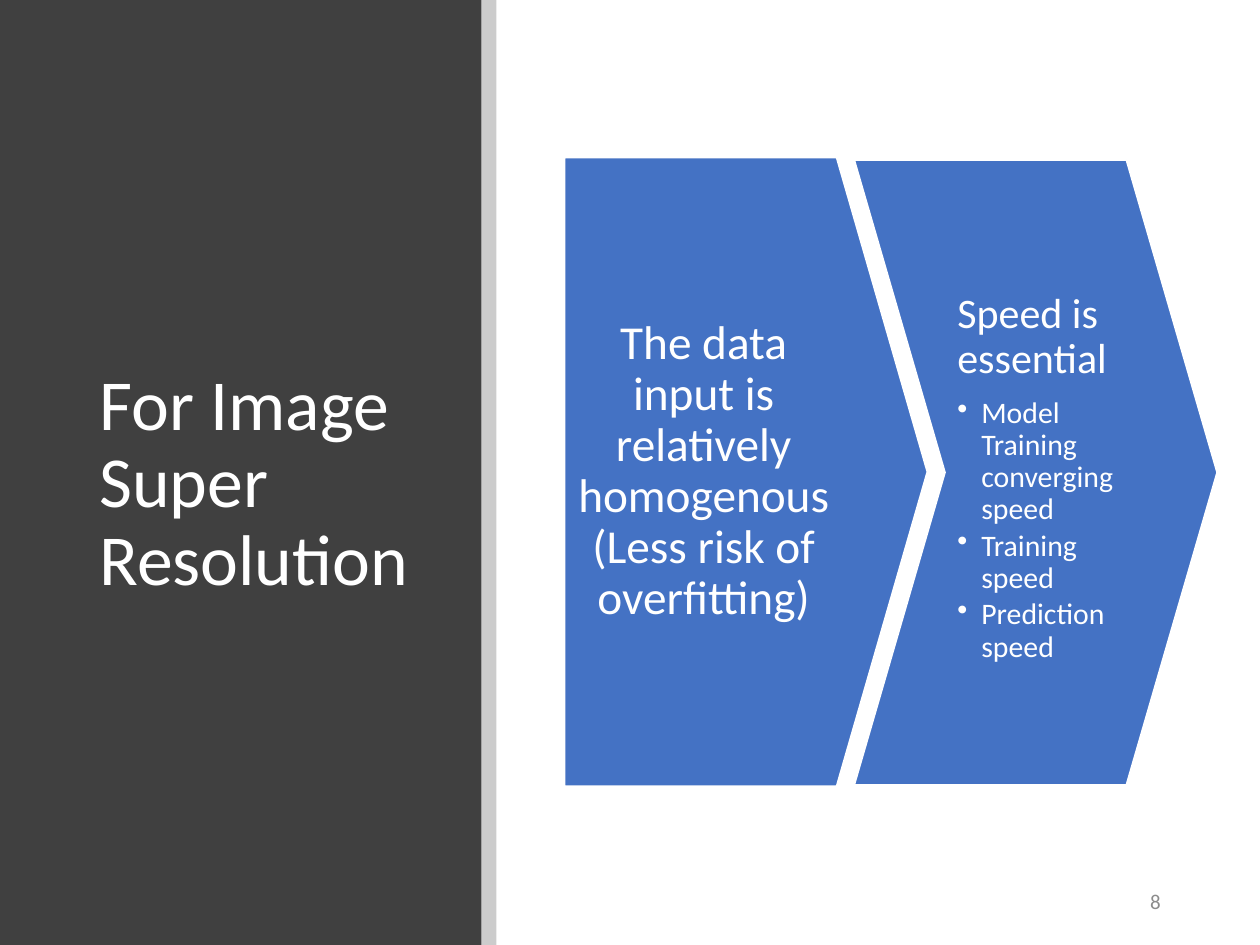
from lxml.etree import SubElement
from pptx import Presentation
from pptx.dml.color import RGBColor
from pptx.enum.shapes import MSO_SHAPE
from pptx.enum.text import MSO_ANCHOR, PP_ALIGN
from pptx.oxml.ns import qn
from pptx.util import Inches, Pt

COLORS = {
    "panel": "404040",
    "stripe": "000000",
    "arrow": "4472C4",
    "white": "FFFFFF",
    "number": "8C8C8C",
}
FONT = "Calibri"


def color(name):
    """Return the named colour."""
    return RGBColor.from_string(COLORS[name])


def add_block(slide, preset, box, fill, outline=None, alpha=None):
    """Draw a filled preset shape, optionally outlined or transparent."""
    block = slide.shapes.add_shape(preset, *map(Inches, box))
    block.shadow.inherit = False
    block.fill.solid()
    block.fill.fore_color.rgb = color(fill)
    if outline:
        block.line.color.rgb = color(outline)
        block.line.width = Pt(1)
    else:
        block.line.fill.background()
    if alpha is not None:
        tint = block.fill._xPr.find(qn("a:solidFill"))[0]
        SubElement(tint, qn("a:alpha")).set("val", str(alpha * 1000))
    return block


def add_arrow(slide, preset, box):
    """Draw one step of the arrow process."""
    arrow = add_block(slide, preset, box, "arrow", outline="white")
    arrow.adjustments[0] = 0.25


def add_frame(slide, box, anchor=MSO_ANCHOR.MIDDLE, insets=(0.1, 0.05, 0.1, 0.05)):
    """Add a wrapping text box and return its text frame."""
    frame = slide.shapes.add_textbox(*map(Inches, box)).text_frame
    frame.word_wrap = True
    frame.vertical_anchor = anchor
    (frame.margin_left, frame.margin_top,
     frame.margin_right, frame.margin_bottom) = map(Inches, insets)
    return frame


def write(frame, text, size, ink="white", align=PP_ALIGN.LEFT,
          spacing=0.9, after=0, bullet=False):
    """Write a formatted paragraph into the frame."""
    paragraph = frame.paragraphs[0]
    if paragraph.runs:
        paragraph = frame.add_paragraph()
    paragraph.alignment = align
    paragraph.line_spacing = spacing
    paragraph.space_after = Pt(after)
    run = paragraph.add_run()
    run.text = text
    run.font.name = FONT
    run.font.size = Pt(size)
    run.font.color.rgb = color(ink)
    if bullet:
        paragraph.level = 1
        properties = paragraph._p.get_or_add_pPr()
        properties.set("marL", str(Inches(0.19)))
        properties.set("indent", str(Inches(-0.19)))
        SubElement(properties, qn("a:buChar")).set("char", "•")


def main():
    """Build the slide and save it."""
    deck = Presentation()
    deck.slide_width, deck.slide_height = Inches(10), Inches(7.5)
    slide = deck.slides.add_slide(deck.slide_layouts[6])

    add_block(slide, MSO_SHAPE.RECTANGLE, (0, 0, 3.82, 7.5), "panel")
    title = add_frame(slide, (0.69, 0.89, 2.99, 5.91))
    write(title, "For Image Super Resolution", 41)
    add_block(slide, MSO_SHAPE.RECTANGLE, (3.82, 0, 0.12, 7.5), "stripe", alpha=20)

    add_arrow(slide, MSO_SHAPE.PENTAGON, (4.48, 1.25, 2.88, 4.99))
    data = add_frame(slide, (4.48, 1.25, 2.52, 4.99), insets=(0.1, 0.07, 0.41, 0.07))
    write(data, "The data input is relatively homogenous (Less risk of overfitting)",
          27, align=PP_ALIGN.CENTER)

    add_arrow(slide, MSO_SHAPE.CHEVRON, (6.78, 1.27, 2.88, 4.96))
    speed = add_frame(slide, (7.5, 1.27, 1.44, 4.96), MSO_ANCHOR.TOP,
                      insets=(0.1, 1.05, 0.1, 0.07))
    write(speed, "Speed is essential", 24, after=8.4)
    for goal in ("Model Training converging speed", "Training speed", "Prediction speed"):
        write(speed, goal, 17, after=2.5, bullet=True)

    number = add_frame(slide, (7.06, 6.95, 2.25, 0.4))
    write(number, "8", 12, ink="number", align=PP_ALIGN.RIGHT, spacing=1.0)

    deck.save("out.pptx")


main()
